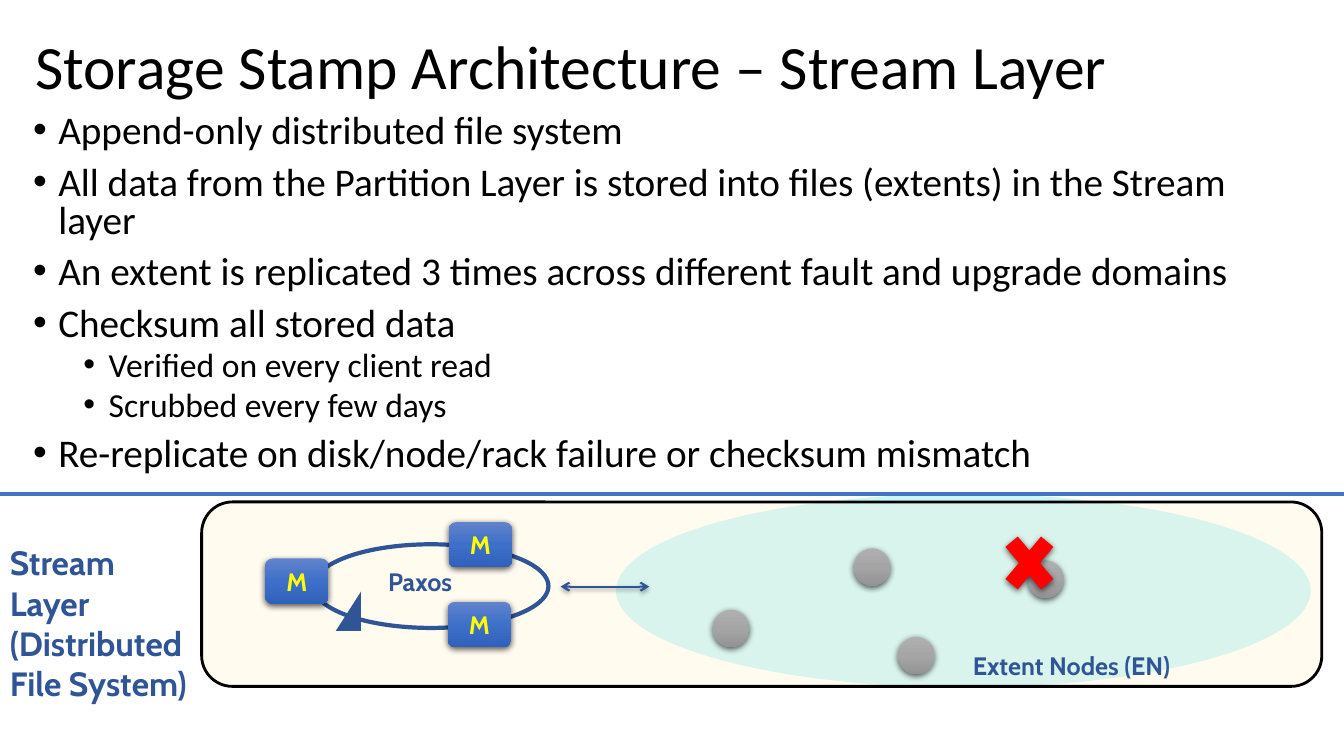
from lxml.etree import SubElement
from pptx import Presentation
from pptx.dml.color import RGBColor
from pptx.enum.shapes import MSO_CONNECTOR, MSO_SHAPE
from pptx.enum.text import MSO_ANCHOR, PP_ALIGN
from pptx.oxml.ns import qn
from pptx.util import Inches, Pt

COLORS = {
    "black": "000000", "navy": "2F5597", "blue": "4472C4", "pool": "C9F5FB",
    "cream": "FFF2CC", "yellow": "FFFF00", "red": "FF0000",
}
MASTER_GRADIENT = ("6183CB", "3E70CA", "3062BB")
NODE_GRADIENT = ("AFAFAF", "A5A5A5", "939393")
BULLETS = [
    (0, "Append-only distributed file system"),
    (0, "All data from the Partition Layer is stored into files (extents) in the Stream layer"),
    (0, "An extent is replicated 3 times across different fault and upgrade domains"),
    (0, "Checksum all stored data"),
    (1, "Verified on every client read"),
    (1, "Scrubbed every few days"),
    (0, "Re-replicate on disk/node/rack failure or checksum mismatch"),
]


def color(name):
    return RGBColor.from_string(COLORS[name])


def set_font(paragraph, name, size, color_name, bold=False):
    font = paragraph.font
    font.name, font.size, font.bold = name, Pt(size), bold
    font.color.rgb = color(color_name)


def add_shadow(effects, alpha, blur, distance):
    shadow = SubElement(effects, qn("a:outerShdw"), blurRad=str(Pt(blur)),
                        dist=str(Pt(distance)), dir="5400000", rotWithShape="0")
    tone = SubElement(shadow, qn("a:srgbClr"), val=COLORS["black"])
    SubElement(tone, qn("a:alpha"), val=str(alpha * 1000))


def add_block(page, kind, box, fill=None, line=None, width=0, gradient=None, shadow=False):
    shape = page.shapes.add_shape(kind, *map(Inches, box))
    shape.shadow.inherit = False
    properties = shape._element.spPr
    if gradient:
        shape.fill.gradient()
        shape.fill.gradient_angle = 270
        stops = properties.find(qn("a:gradFill")).find(qn("a:gsLst"))
        for stop in list(stops):
            stops.remove(stop)
        for index, tone in enumerate(gradient):
            stop = SubElement(stops, qn("a:gs"), pos=str(index * 50000))
            SubElement(stop, qn("a:srgbClr"), val=tone)
    elif fill:
        shape.fill.solid()
        shape.fill.fore_color.rgb = color(fill)
    else:
        shape.fill.background()
    if line:
        shape.line.color.rgb = color(line)
        shape.line.width = Pt(width)
    else:
        shape.line.fill.background()
    if shadow:
        add_shadow(properties.find(qn("a:effectLst")), 63, 4.5, 1.5)
    return shape


def add_line(page, start, end, color_name, width):
    line = page.shapes.add_connector(MSO_CONNECTOR.STRAIGHT, *map(Inches, start + end))
    line.line.color.rgb = color(color_name)
    line.line.width = Pt(width)
    return line, SubElement(line._element.spPr, qn("a:effectLst"))


def add_label(page, box, lines, size, wrap=True):
    frame = page.shapes.add_textbox(*map(Inches, box)).text_frame
    frame.word_wrap = wrap
    for index, text in enumerate(lines):
        para = frame.add_paragraph() if index else frame.paragraphs[0]
        para.text = text
        set_font(para, "Cabin", size, "navy", True)


def add_title(page, box):
    frame = page.shapes.add_textbox(*map(Inches, box)).text_frame
    frame.word_wrap = True
    frame.vertical_anchor = MSO_ANCHOR.MIDDLE
    para = frame.paragraphs[0]
    para.text = "Storage Stamp Architecture – Stream Layer"
    para.line_spacing = 0.9
    set_font(para, "Calibri", 44, "black")


def add_bullets(page, box):
    frame = page.shapes.add_textbox(*map(Inches, box)).text_frame
    frame.word_wrap = True
    for index, (level, text) in enumerate(BULLETS):
        para = frame.add_paragraph() if index else frame.paragraphs[0]
        para.text = text
        para.level = level
        para.line_spacing = 0.8
        para.space_before = Pt((5 if level else 10) if index else 0)
        properties = para._p.get_or_add_pPr()
        properties.set("marL", str(Inches(0.25 + 0.5 * level)))
        properties.set("indent", str(Inches(-0.25)))
        SubElement(properties, qn("a:buFont"), typeface="Arial")
        SubElement(properties, qn("a:buChar"), char="•")
        set_font(para, "Calibri", 24 if level else 28, "black")


def add_masters(page, left, top):
    """Paxos ring with its three masters."""
    add_block(page, MSO_SHAPE.OVAL, (left, top, 2.33, 0.83), line="navy", width=3)
    arrowhead = add_block(page, MSO_SHAPE.RIGHT_TRIANGLE,
                          (left + 0.15, top + 0.54, 0.39, 0.25), fill="navy")
    arrowhead.rotation = 270
    for across, down in [(-0.48, 0.14), (1.33, 0.57), (1.34, -0.22)]:
        master = add_block(page, MSO_SHAPE.ROUNDED_RECTANGLE,
                           (left + across, top + down, 0.63, 0.45),
                           gradient=MASTER_GRADIENT, shadow=True)
        master.text_frame.vertical_anchor = MSO_ANCHOR.MIDDLE
        para = master.text_frame.paragraphs[0]
        para.text = "M"
        para.alignment = PP_ALIGN.CENTER
        set_font(para, "Cabin", 18, "yellow", True)
    add_label(page, (left + 0.64, top + 0.17, 0.89, 0.4), ["Paxos"], 18, wrap=False)


def add_extent_nodes(page, left, top):
    """Extent nodes, one of them failed."""
    for across, down in [(0.96, 1.15), (2.8, 1.42), (4.08, 0.66), (2.36, 0.54)]:
        add_block(page, MSO_SHAPE.OVAL, (left + across, top + down, 0.36, 0.37),
                  gradient=NODE_GRADIENT, shadow=True)
    add_block(page, MSO_SHAPE.MATH_MULTIPLY, (left + 3.76, top + 0.28, 0.68, 0.81),
              fill="red", shadow=True)
    add_label(page, (left + 3.44, top + 1.5, 3.67, 0.4), ["Extent Nodes (EN)"], 18)


def add_stream_layer(page, top):
    # Backdrop: node pool under a translucent panel, with a divider above
    add_block(page, MSO_SHAPE.OVAL, (6.11, top, 6.89, 1.92), fill="pool")
    panel = add_block(page, MSO_SHAPE.ROUNDED_RECTANGLE, (2, top + 0.08, 11.11, 1.83),
                      fill="cream", line="black", width=2)
    tone = panel._element.spPr.find(qn("a:solidFill")).find(qn("a:srgbClr"))
    SubElement(tone, qn("a:alpha"), val="30000")
    add_line(page, (13.33, top), (0, top), "blue", 3)

    # Masters, two-way link and nodes
    add_masters(page, 3.11, top + 0.5)
    link, effects = add_line(page, (5.56, top + 0.92), (6.44, top + 0.92), "navy", 1.5)
    outline = link._element.spPr.find(qn("a:ln"))
    for end in ("a:headEnd", "a:tailEnd"):
        SubElement(outline, qn(end), type="arrow")
    add_shadow(effects, 35, 3.1, 1.8)
    add_extent_nodes(page, 6.11, top)

    # Layer name
    add_label(page, (0, top + 0.43, 2.62, 1.72),
              ["Stream \vLayer", "(Distributed", "File System)"], 24)


def main():
    deck = Presentation()
    deck.slide_width, deck.slide_height = Inches(13.33), Inches(7.5)
    page = deck.slides.add_slide(deck.slide_layouts[6])
    add_title(page, (0.25, -0.04, 11.5, 1.45))
    add_bullets(page, (0.23, 1.09, 12.77, 3.83))
    add_stream_layer(page, 4.9)
    deck.save("out.pptx")


if __name__ == "__main__":
    main()
